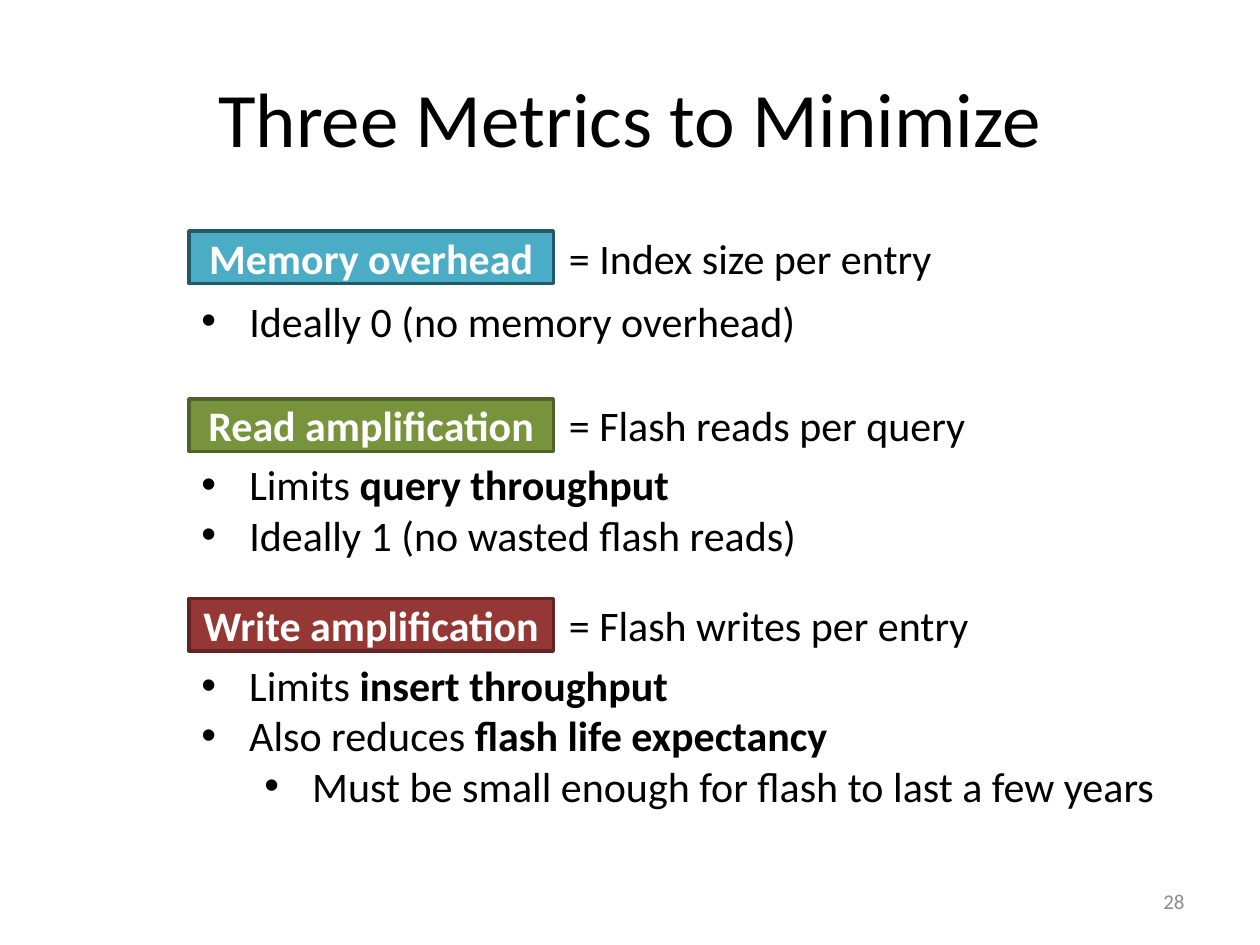
from lxml import etree
from pptx import Presentation
from pptx import util as u
from pptx.dml.color import RGBColor
from pptx.enum import shapes, text
from pptx.oxml.ns import qn

COLS, ROWS = 120, 90
CELL = u.Inches(10) // COLS
LEFT, LABEL_W, ROW_H = 18, 34.7, 5
DEFINITION_LEFT, DEFINITION_W = 53, 57
INDENT, LEVEL_STEP = 0.38, 0.5

COLORS = {
    "ink": "000000",
    "white": "FFFFFF",
    "number": "8C8C8C",
    "memory": "4BACC6",
    "memory_edge": "215968",
    "read": "77933C",
    "read_edge": "4F6228",
    "write": "953735",
    "write_edge": "632523",
}

METRICS = [
    {
        "key": "memory", "row": 22, "name": "Memory overhead",
        "definition": "= Index size per entry",
        "box": (25, 81, 11),
        "bullets": [(0, ["Ideally 0 (no memory overhead)"])],
    },
    {
        "key": "read", "row": 38, "name": "Read amplification",
        "definition": "= Flash reads per query",
        "box": (43, 81, 11),
        "bullets": [
            (0, ["Limits ", "query throughput"]),
            (0, ["Ideally 1 (no wasted flash reads)"]),
        ],
    },
    {
        "key": "write", "row": 57, "name": "Write amplification",
        "definition": "= Flash writes per entry",
        "box": (62, 96, 16),
        "bullets": [
            (0, ["Limits ", "insert throughput"]),
            (0, ["Also reduces ", "flash life expectancy"]),
            (1, ["Must be small enough for flash to last a few years"]),
        ],
    },
]


def color(name):
    return RGBColor.from_string(COLORS[name])


def grid(*cells):
    return [int(c * CELL) for c in cells]


def add_run(p, words, size=24, ink="ink", bold=False):
    r = p.add_run()
    r.text = words
    r.font.name = "Calibri"
    r.font.size = u.Pt(size)
    r.font.bold = bold
    r.font.color.rgb = color(ink)


def add_box(s, cells):
    tf = s.shapes.add_textbox(*grid(*cells)).text_frame
    tf.word_wrap = True
    tf.vertical_anchor = text.MSO_ANCHOR.MIDDLE
    return tf


def add_line(s, cells, words, align=text.PP_ALIGN.LEFT, **style):
    p = add_box(s, cells).paragraphs[0]
    p.alignment = align
    add_run(p, words, **style)


def add_label(s, cells, words, key):
    sp = s.shapes.add_shape(shapes.MSO_SHAPE.RECTANGLE, *grid(*cells))
    sp.shadow.inherit = False
    sp.fill.solid()
    sp.fill.fore_color.rgb = color(key)
    sp.line.color.rgb = color(key + "_edge")
    sp.line.width = u.Pt(2)
    tf = sp.text_frame
    tf.word_wrap = True
    tf.margin_left = tf.margin_right = u.Inches(0.05)
    tf.vertical_anchor = text.MSO_ANCHOR.MIDDLE
    p = tf.paragraphs[0]
    p.alignment = text.PP_ALIGN.CENTER
    add_run(p, words, ink="white", bold=True)


def set_bullet(p, level):
    p.level = level
    pPr = p._p.get_or_add_pPr()
    pPr.set("marL", str(u.Inches(INDENT + level * LEVEL_STEP)))
    pPr.set("indent", str(-u.Inches(INDENT)))
    etree.SubElement(pPr, qn("a:buFont")).set("typeface", "Arial")
    etree.SubElement(pPr, qn("a:buChar")).set("char", "•")


def add_bullets(s, cells, bullets):
    tf = add_box(s, cells)
    for i, (level, parts) in enumerate(bullets):
        p = tf.add_paragraph() if i else tf.paragraphs[0]
        set_bullet(p, level)
        for j, words in enumerate(parts):
            add_run(p, words, bold=j == 1)


def add_metric(s, metric):
    row = metric["row"]
    top, width, height = metric["box"]
    add_label(s, (LEFT, row, LABEL_W, ROW_H), metric["name"], metric["key"])
    add_line(s, (DEFINITION_LEFT, row, DEFINITION_W, ROW_H), metric["definition"])
    add_bullets(s, (LEFT, top, width, height), metric["bullets"])


def main():
    prs = Presentation()
    prs.slide_width, prs.slide_height = grid(COLS, ROWS)
    s = prs.slides.add_slide(prs.slide_layouts[6])
    add_line(s, (6, 3.6, 108, 15), "Three Metrics to Minimize",
             text.PP_ALIGN.CENTER, size=44)
    for metric in METRICS:
        add_metric(s, metric)
    add_line(s, (86, 83.4, 28, 4.8), "28",
             text.PP_ALIGN.RIGHT, size=12, ink="number")
    prs.save("out.pptx")


if __name__ == "__main__":
    main()
